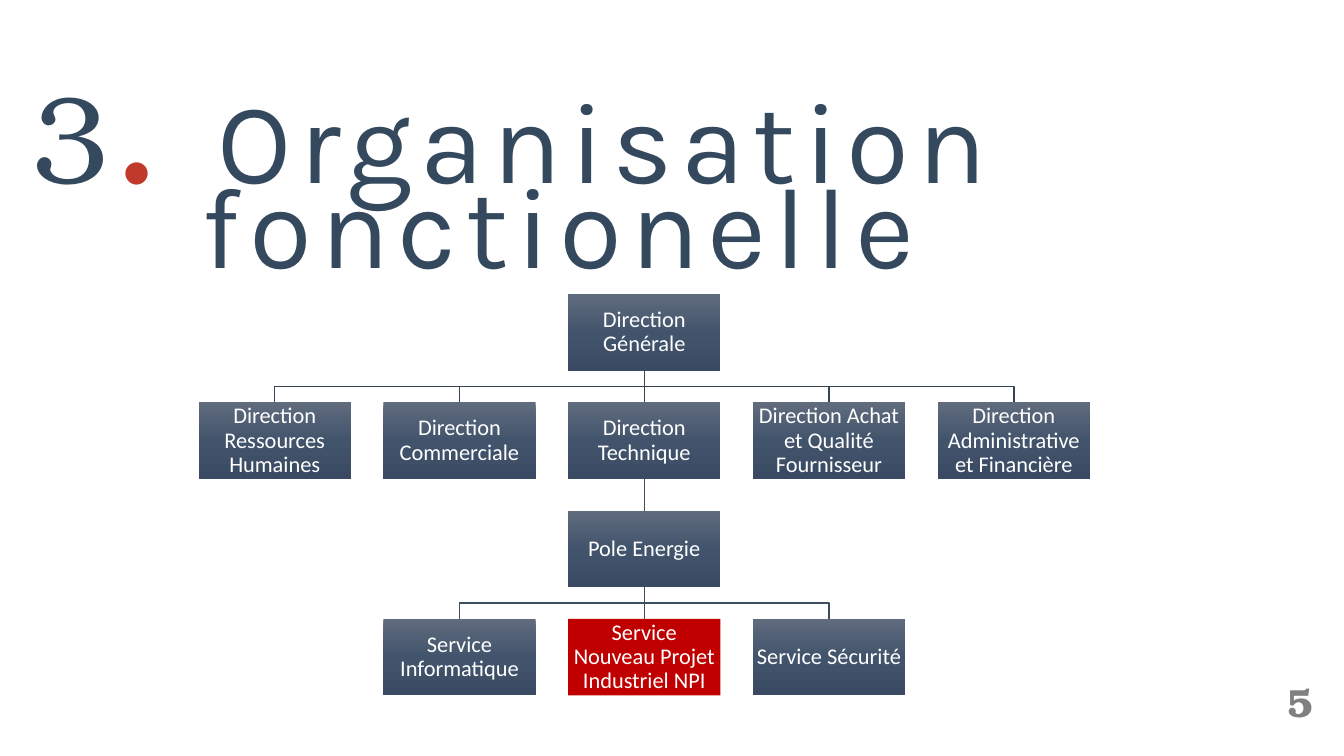
import copy
from dataclasses import dataclass

import pptx
import pptx.dml.color
import pptx.enum.shapes
import pptx.enum.text
import pptx.oxml.ns
import pptx.util

ANCHOR = pptx.enum.text.MSO_ANCHOR
ALIGN = pptx.enum.text.PP_ALIGN
SHAPES = pptx.enum.shapes
qn = pptx.oxml.ns.qn


@dataclass(frozen=True)
class Theme:
    navy: str = "34495E"
    red: str = "C0392B"
    grey: str = "808080"
    white: str = "FFFFFF"
    highlight: str = "C00000"
    gradient: tuple = ((0, "606B7D"), (0.5, "42546C"), (1, "394A62"))
    upper_link: str = "364355"
    lower_link: str = "3E4C60"
    serif: str = "TeX Gyre Bonum"
    sans: str = "Karla"
    body: str = "Calibri"
    number_size: int = 88
    title_size: int = 82
    box_size: int = 16
    page_size: int = 28
    tracking: int = 600


@dataclass(frozen=True)
class Grid:
    """Chart cells: column and row numbers turn into inches."""
    left: float = 1.97
    top: float = 2.92
    col_step: float = (9.3 - 1.97) / 4
    row_step: float = (6.14 - 2.92) / 3
    width: float = 1.51
    height: float = 0.76

    def x(self, col):
        return self.left + col * self.col_step

    def y(self, row):
        return self.top + row * self.row_step

    def centre(self, col):
        return self.x(col) + self.width / 2


def rgb(colour):
    return pptx.dml.color.RGBColor.from_string(colour)


def inches(*values):
    return [pptx.util.Inches(v) for v in values]


class OrgSlide:
    def __init__(self, prs, theme, grid):
        self.s = prs.slides.add_slide(prs.slide_layouts[6])
        self.theme, self.grid = theme, grid

    def style(self, font, name, size, colour, bold=False):
        font.name, font.size, font.bold = name, pptx.util.Pt(size), bold
        font.color.rgb = rgb(colour)

    def text(self, at, runs, anchor, spacing, tracking=0):
        """Text box with one line of runs: (text, font, size, colour, bold)."""
        tf = self.s.shapes.add_textbox(*inches(*at)).text_frame
        tf.word_wrap, tf.vertical_anchor = True, anchor
        p = tf.paragraphs[0]
        p.line_spacing = spacing
        for text, *look in runs:
            r = p.add_run()
            r.text = text
            self.style(r.font, *look)
            if tracking:
                r.font._element.set("spc", str(tracking))

    def link(self, parent, child, row, colour):
        """Line from a parent column in a row down to a child column."""
        g = self.grid
        x1, x2 = g.centre(parent), g.centre(child)
        y1, y2 = g.y(row) + g.height, g.y(row + 1)
        if parent == child:
            sp = self.s.shapes.add_connector(
                SHAPES.MSO_CONNECTOR.STRAIGHT, *inches(x1, y1, x2, y2))
            sp._element.spPr.append(pptx.oxml.parse_xml(
                f'<a:effectLst {pptx.oxml.ns.nsdecls("a")}/>'))
        else:
            mid = (y1 + y2) / 2
            path = self.s.shapes.build_freeform(*inches(x1, y1))
            path.add_line_segments(
                [inches(*pt) for pt in ((x1, mid), (x2, mid), (x2, y2))],
                close=False)
            sp = path.convert_to_shape()
            sp.fill.background()
            sp.shadow.inherit = False
        sp.line.color.rgb = rgb(colour)
        sp.line.width = pptx.util.Pt(1)

    def box(self, col, row, label, highlighted=False):
        g, th = self.grid, self.theme
        sp = self.s.shapes.add_shape(
            SHAPES.MSO_SHAPE.RECTANGLE,
            *inches(g.x(col), g.y(row), g.width, g.height))
        sp.shadow.inherit = False
        sp.line.fill.background()
        if highlighted:
            sp.fill.solid()
            sp.fill.fore_color.rgb = rgb(th.highlight)
        else:
            self.shade(sp)
        tf = sp.text_frame
        tf.word_wrap, tf.vertical_anchor = True, ANCHOR.MIDDLE
        tf.margin_left = tf.margin_right = pptx.util.Inches(0.01)
        tf.margin_top = tf.margin_bottom = pptx.util.Inches(0.01)
        p = tf.paragraphs[0]
        p.text, p.alignment, p.line_spacing = label, ALIGN.CENTER, 0.9
        self.style(p.font, th.body, th.box_size, th.white)

    def shade(self, sp):
        """Three-stop gradient running from top to bottom."""
        sp.fill.gradient()
        sp.fill.gradient_angle = 270
        stops = sp._element.spPr.find(".//" + qn("a:gsLst"))
        stops.append(copy.deepcopy(stops[0]))
        for stop, (position, colour) in zip(sp.fill.gradient_stops,
                                            self.theme.gradient):
            stop.position = position
            stop.color.rgb = rgb(colour)


# Boxes by row: column, label
ROWS = [
    [(2, "Direction Générale")],
    [(0, "Direction Ressources Humaines"),
     (1, "Direction Commerciale"),
     (2, "Direction Technique"),
     (3, "Direction Achat et Qualité Fournisseur"),
     (4, "Direction Administrative et Financière")],
    [(2, "Pole Energie")],
    [(1, "Service Informatique"),
     (2, "Service Nouveau Projet Industriel NPI"),
     (3, "Service Sécurité")],
]
HIGHLIGHTED = (2, 3)
PARENT_COL = 2


def main():
    prs = pptx.Presentation()
    prs.slide_width, prs.slide_height = inches(13.33, 7.5)
    th = Theme()
    slide = OrgSlide(prs, th, Grid())

    # Title on two lines, then the page number
    slide.text((0.22, 0.84, 13, 1.25), [
        ("3", th.serif, th.number_size, th.navy),
        (". ", th.serif, th.number_size, th.red, True),
        ("Organisation", th.sans, th.title_size, th.navy),
    ], ANCHOR.BOTTOM, 0.76, th.tracking)
    slide.text((1.9, 1.46, 7.32, 1.46), [
        ("fonctionelle", th.sans, th.title_size, th.navy),
    ], ANCHOR.BOTTOM, 0.76, th.tracking)
    slide.text((12.67, 6.69, 0.5, 0.61), [
        ("5", th.serif, th.page_size, th.grey, True),
    ], ANCHOR.MIDDLE, 0.9)

    # Links behind the boxes
    for row, children in enumerate(ROWS[1:]):
        colour = th.upper_link if row == 0 else th.lower_link
        for col, _ in children:
            slide.link(PARENT_COL, col, row, colour)

    # Boxes
    for row, boxes in enumerate(ROWS):
        for col, label in boxes:
            slide.box(col, row, label, (col, row) == HIGHLIGHTED)

    prs.save("out.pptx")


if __name__ == "__main__":
    main()
